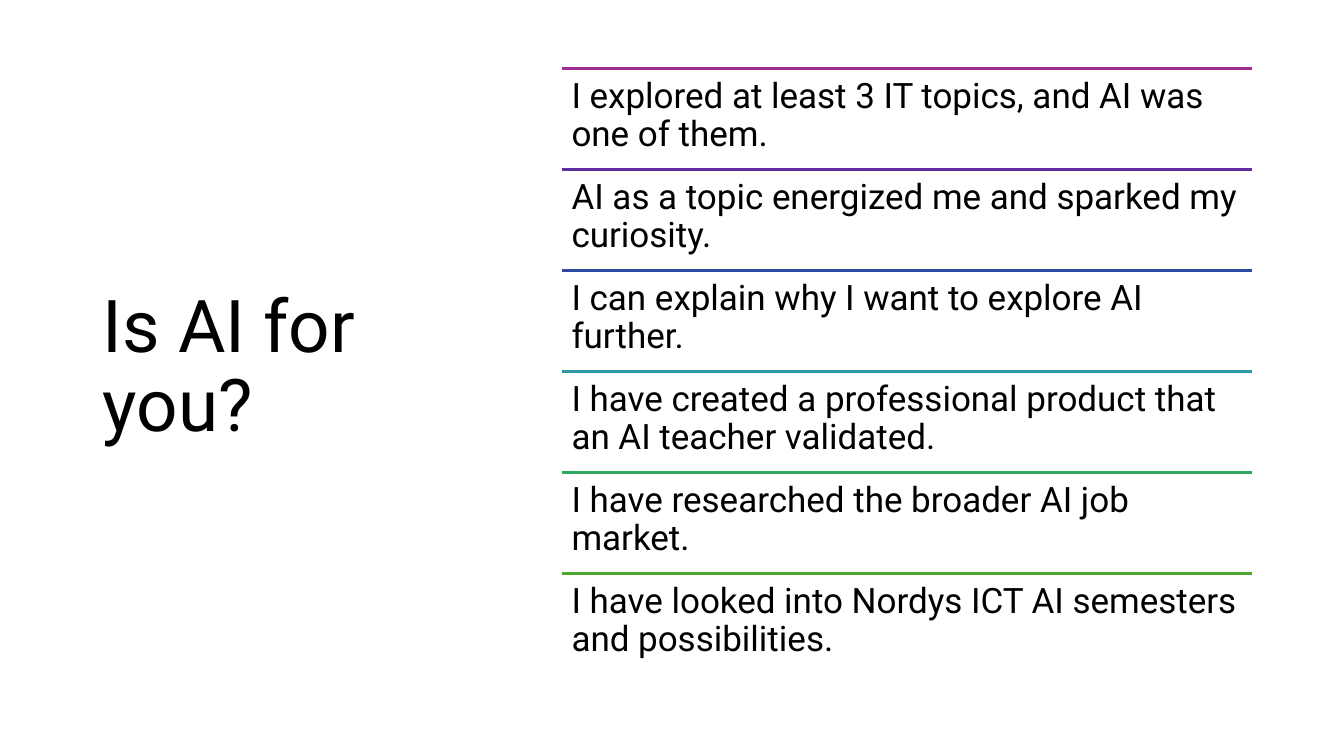
from lxml.etree import SubElement
from pptx import Presentation
from pptx.dml.color import RGBColor
from pptx.enum.shapes import MSO_CONNECTOR as Connector
from pptx.enum.text import MSO_ANCHOR as Anchor, MSO_AUTO_SIZE as AutoSize, PP_ALIGN as Align
from pptx.oxml.ns import qn
from pptx.util import Inches, Pt

STATEMENTS = [
    ("I explored at least 3 IT topics, and AI was one of them.", "A02B93"),
    ("AI as a topic energized me and sparked my curiosity.", "5F2CA1"),
    ("I can explain why I want to explore AI further.", "2C49A3"),
    ("I have created a professional product that an AI teacher validated.", "2D9AA4"),
    ("I have researched the broader AI job market.", "2DA65F"),
    ("I have looked into Nordys ICT AI semesters and possibilities.", "4EA72E"),
]
LIST_LEFT, LIST_WIDTH = 5.57, 6.85
FIRST_RULE, LAST_RULE = 0.68, 5.69


def color(value):
    return RGBColor.from_string(value)


class SlideBuilder:
    font = "Roboto"
    ink = "000000"

    def __init__(self, slide):
        self.slide = slide

    def fill_text(self, frame, text, size, anchor, inset):
        frame.word_wrap = True
        frame.auto_size = AutoSize.NONE
        frame.vertical_anchor = anchor
        frame.margin_left = frame.margin_right = Inches(0.1)
        frame.margin_top = frame.margin_bottom = Inches(inset)
        paragraph = frame.paragraphs[0]
        paragraph.alignment = Align.LEFT
        paragraph.line_spacing = 0.9
        run = paragraph.add_run()
        run.text = text
        run.font.name = self.font
        run.font.size = Pt(size)
        run.font.color.rgb = color(self.ink)

    def title(self, text, left, top, width, height):
        heading = self.slide.shapes.title
        heading.left, heading.top = Inches(left), Inches(top)
        heading.width, heading.height = Inches(width), Inches(height)
        self.fill_text(heading.text_frame, text, 52, Anchor.MIDDLE, 0.05)

    def rule(self, left, top, width, line_color):
        divider = self.slide.shapes.add_connector(
            Connector.STRAIGHT, Inches(left), Inches(top), Inches(left + width), Inches(top))
        divider.line.color.rgb = color(line_color)
        divider.line.width = Pt(1.5)
        SubElement(divider._element.spPr, qn("a:effectLst"))

    def statement(self, text, left, top, width, height):
        box = self.slide.shapes.add_textbox(
            Inches(left), Inches(top), Inches(width), Inches(height))
        self.fill_text(box.text_frame, text, 25, Anchor.TOP, 0.1)


def main():
    deck = Presentation()
    deck.slide_width, deck.slide_height = Inches(13.33), Inches(7.5)
    builder = SlideBuilder(deck.slides.add_slide(deck.slide_layouts[5]))
    builder.title("Is AI for you?", 0.92, 0.61, 3.69, 6.09)
    pitch = (LAST_RULE - FIRST_RULE) / (len(STATEMENTS) - 1)
    for index, (text, rule_color) in enumerate(STATEMENTS):
        top = FIRST_RULE + index * pitch
        builder.rule(LIST_LEFT, top, LIST_WIDTH, rule_color)
        builder.statement(text, LIST_LEFT, top, LIST_WIDTH, 1)
    deck.save("out.pptx")


if __name__ == "__main__":
    main()
